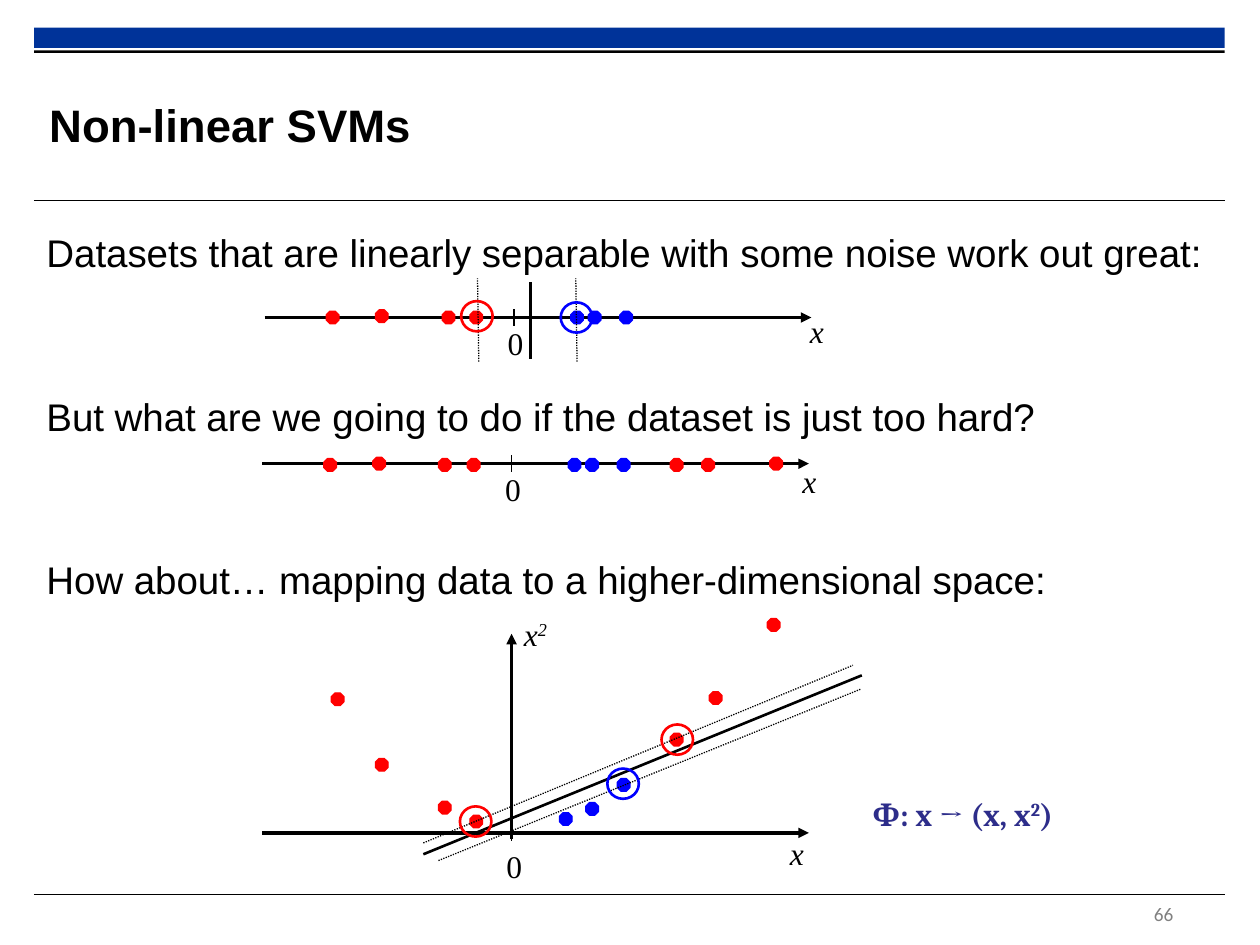
from pptx import Presentation
from pptx.dml.color import RGBColor
from pptx.enum.dml import MSO_LINE_DASH_STYLE as Dash
from pptx.enum.shapes import MSO_CONNECTOR as Link, MSO_SHAPE as Form
from pptx.enum.text import MSO_ANCHOR as Anchor
from pptx.oxml.ns import qn
from pptx.util import Inches, Pt
from lxml.etree import SubElement

COLS, ROWS = 100, 75
BLACK, RED, BLUE = "000000", "FF0000", "0000FF"
SERIF = "Times New Roman"


def tint(code):
    return RGBColor.from_string(code)


def write(par, text, font="Arial", size=18, color=BLACK, bold=False,
          italic=False, sup=False):
    run = par.add_run()
    run.text = text
    face = run.font
    face.name, face.size = font, Pt(size)
    face.bold, face.italic = bold, italic
    face.color.rgb = tint(color)
    if sup:
        run._r.get_or_add_rPr().set("baseline", "30000")


class Board:
    """Draws on one slide, measured in grid columns and rows."""

    def __init__(self, deck):
        self.slide = deck.slides.add_slide(deck.slide_layouts[6])
        self.shapes = self.slide.shapes
        self.col = deck.slide_width / COLS
        self.row = deck.slide_height / ROWS

    def place(self, x, y, w, h):
        return (round(x * self.col), round(y * self.row),
                round(w * self.col), round(h * self.row))

    def shape(self, form, x, y, w, h, fill=None, edge=None, width=0.75):
        item = self.shapes.add_shape(form, *self.place(x, y, w, h))
        item.shadow.inherit = False
        if fill:
            item.fill.solid()
            item.fill.fore_color.rgb = tint(fill)
        else:
            item.fill.background()
        if edge:
            item.line.color.rgb = tint(edge)
            item.line.width = Pt(width)
        else:
            item.line.fill.background()

    def line(self, x1, y1, x2, y2, width=0.75, dots=False, arrow=False):
        item = self.shapes.add_connector(
            Link.STRAIGHT, *self.place(x1, y1, x2, y2))
        item.line.color.rgb = tint(BLACK)
        item.line.width = Pt(width)
        if dots:
            item.line.dash_style = Dash.ROUND_DOT
        props = item._element.spPr
        if arrow:
            SubElement(props.find(qn("a:ln")), qn("a:tailEnd"),
                       type="triangle")
        SubElement(props, qn("a:effectLst"))

    def box(self, x, y, w, h, wrap=True):
        frame = self.shapes.add_textbox(*self.place(x, y, w, h)).text_frame
        frame.word_wrap = wrap
        return frame

    def label(self, text, x, y, w=5, **style):
        par = self.box(x, y, w, 4).paragraphs[0]
        write(par, text, **{"font": SERIF, **style})
        return par

    def dots(self, color, spots):
        for x, y in spots:
            self.shape(Form.OCTAGON, x, y, 1, 1, color, color)

    def ring(self, color, x, y):
        self.shape(Form.OVAL, x, y, 2.5, 2.4, edge=color, width=1.5)

    def axis(self, x, y):
        self.line(x, y, x + 43.4, y, 2, arrow=True)
        self.line(x + 19.8, y - 0.65, x + 19.8, y + 0.65)


def main():
    deck = Presentation()
    deck.slide_width, deck.slide_height = Inches(10), Inches(7.5)
    board = Board(deck)

    # Frame bars, rules and page number
    board.shape(Form.RECTANGLE, 2.7, 2.2, 94.5, 1.6, "003399")
    board.shape(Form.RECTANGLE, 2.7, 4, 94.5, 0.2, BLACK)
    for y in (15.9, 71):
        board.line(2.7, y, 97.2, y, 0.6)
    board.label("66", 90.6, 71.1, 5.5, font="Calibri", size=11,
                color="808080")

    # Title
    title = board.box(3.9, 5.3, 71.1, 9.2)
    title.vertical_anchor = Anchor.MIDDLE
    title.margin_left = title.margin_right = 0
    title.margin_top = title.margin_bottom = 0
    write(title.paragraphs[0], "Non-linear SVMs", size=26, bold=True)

    # Statements above the three plots
    body = board.box(2.7, 17.7, 94.5, 32)
    for i, text in enumerate((
            "Datasets that are linearly separable with some noise work out great:",
            "But what are we going to do if the dataset is just too hard?",
            "How about… mapping data to a higher-dimensional space:")):
        par = body.add_paragraph() if i else body.paragraphs[0]
        par.space_before = Pt(67 if i else 0)
        write(par, text, size=22)

    # Axes with their labels
    for x, y, zero, end in (
            (21, 25.2, (39.3, 25.2), (63.3, 24.3)),
            (20.8, 36.8, (39.1, 36.8), (62.7, 36.2)),
            (20.8, 66.1, (39.2, 66.7), (61.7, 65.7))):
        board.axis(x, y)
        board.label("0", *zero, w=3.8)
        board.label("x", *end, italic=True)

    # Plot 1: separable data with its margin
    board.dots(RED, [(25.9, 24.7), (29.8, 24.6), (35.1, 24.7), (37.3, 24.7)])
    board.dots(BLUE, [(x, 24.7) for x in (45.3, 46.7, 49.2)])
    board.line(42.1, 22.4, 42.1, 28.5, 1.5)
    for x in (38, 45.8):
        board.line(x, 28.7, x - 0.1, 22.1, dots=True)
    board.ring(BLUE, 44.5, 24)
    board.ring(RED, 36.6, 23.9)

    # Plot 2: data that no point can split
    board.dots(RED, [(25.7, 36.4), (29.6, 36.3), (34.8, 36.4), (37.1, 36.4),
                     (53.2, 36.4), (55.7, 36.4), (61.1, 36.3)])
    board.dots(BLUE, [(x, 36.4) for x in (45.1, 46.5, 49)])

    # Plot 3: data mapped to the plane
    board.line(40.6, 66.6, 40.6, 50.3, 2, arrow=True)
    square = board.label("x", 40.6, 48.3, italic=True)
    write(square, "2", font=SERIF, italic=True, sup=True)
    board.dots(RED, [(26.3, 55), (29.8, 60.2), (34.8, 63.6), (37.3, 64.7),
                     (53.2, 58.2), (56.3, 54.9), (60.9, 49.1)])
    board.dots(BLUE, [(44.4, 64.5), (46.5, 63.7), (49, 61.8)])
    board.line(33.6, 67.8, 68.4, 53.6, 1.5)
    board.line(33.6, 66.9, 67.7, 52.8, dots=True)
    board.line(34.8, 68.3, 68.3, 54.7, dots=True)
    for color, x, y in ((RED, 52.5, 57.5), (BLUE, 48.2, 61), (RED, 36.5, 64)):
        board.ring(color, x, y)

    # Mapping formula
    rule = board.box(68.3, 62.6, 16.6, 4, wrap=False).paragraphs[0]
    for text, sup in (("Φ: x → (x, x", False), ("2", True), (")", False)):
        write(rule, text, font="Cambria", color="2D2D8A", bold=True, sup=sup)

    deck.save("out.pptx")


if __name__ == "__main__":
    main()
